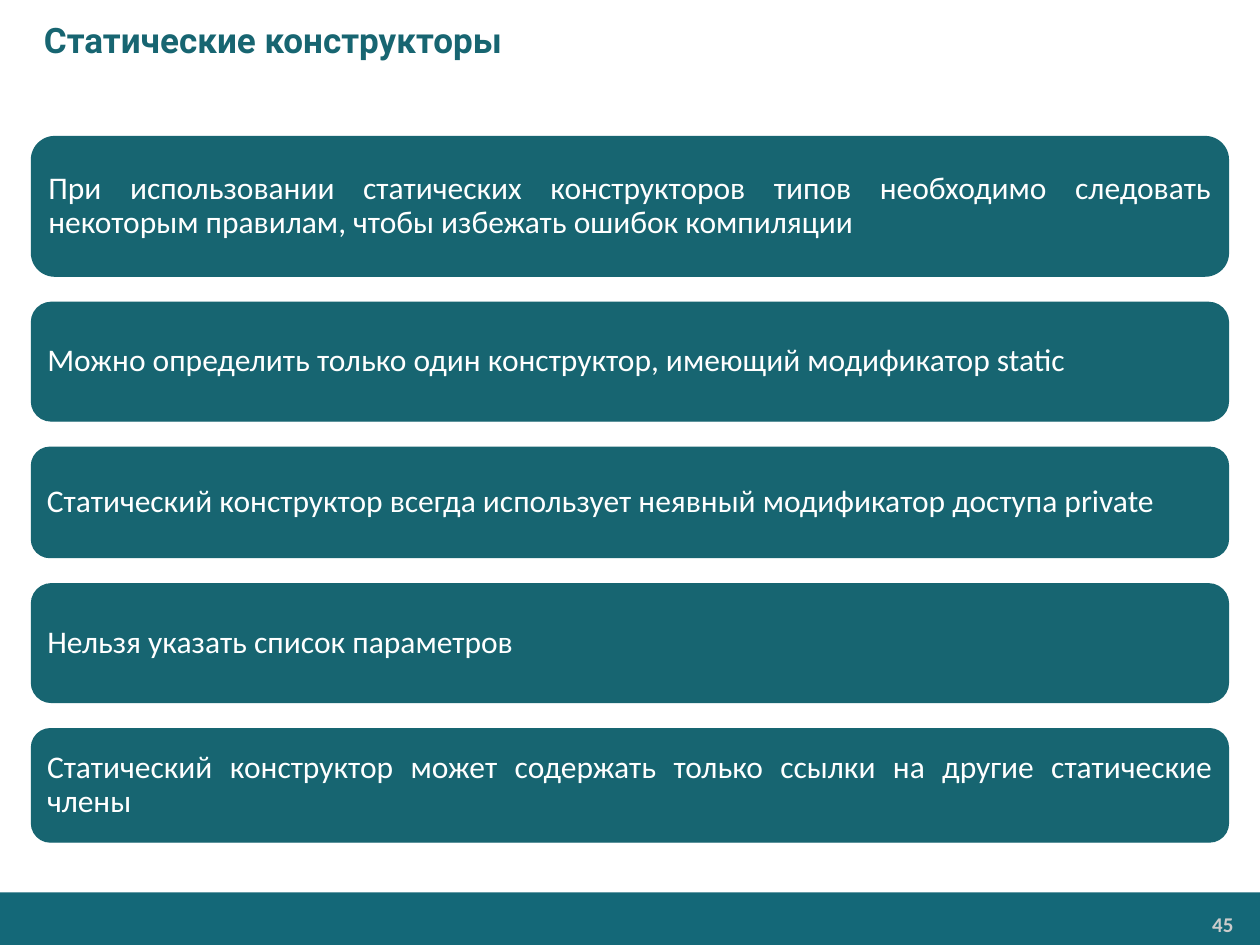
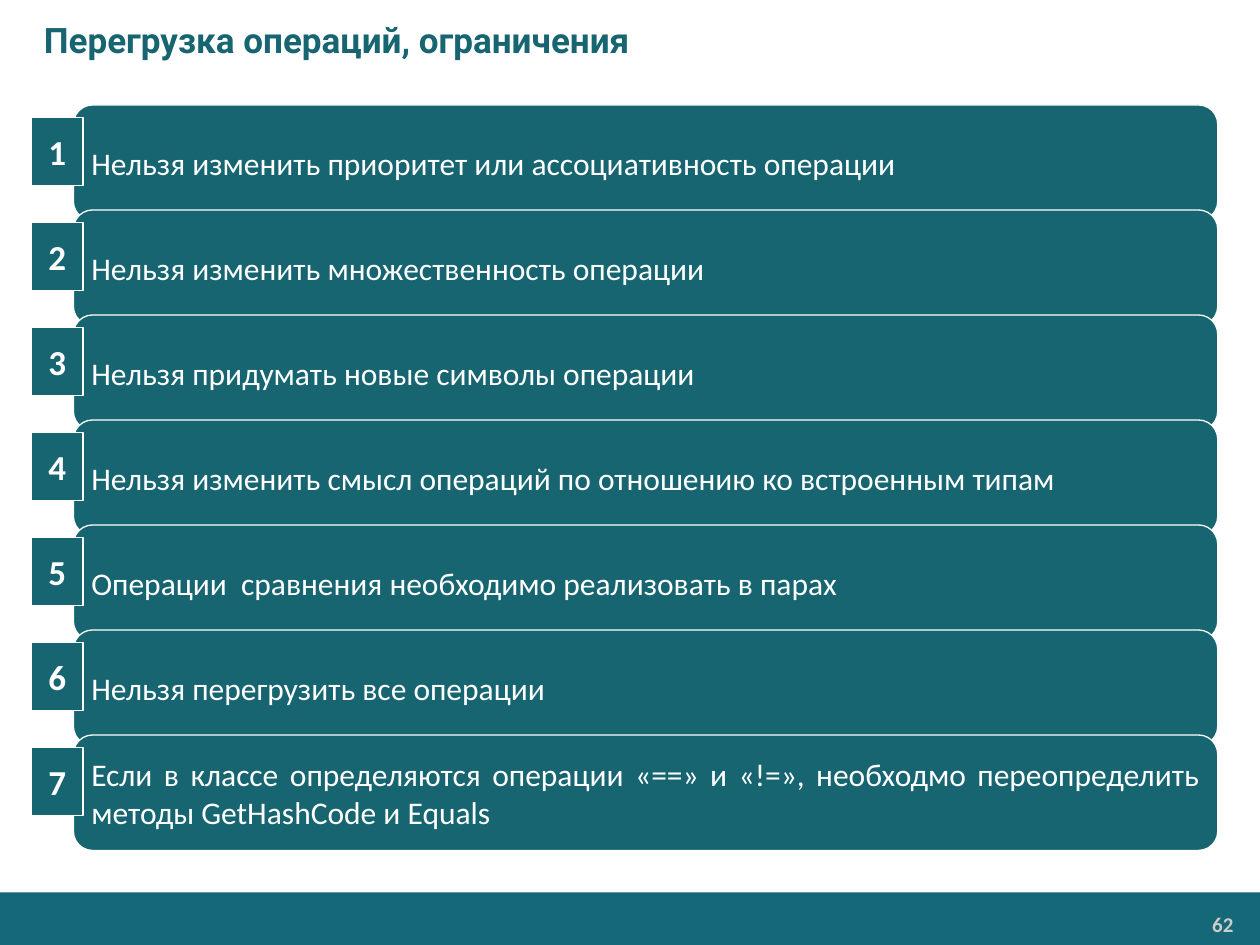
import pptx
import pptx.util
import pptx.dml.color
import pptx.enum.shapes
import pptx.enum.text

SHAPE = pptx.enum.shapes.MSO_SHAPE
ALIGN = pptx.enum.text.PP_ALIGN
ANCHOR = pptx.enum.text.MSO_ANCHOR

TEAL, BAND, WHITE, GREY = "176571", "146878", "FFFFFF", "CCCCCC"
COLS, ROWS = 40, 90
WIDE, HIGH = pptx.util.Inches(10), pptx.util.Inches(7.5)

RULES = [
    (13.3, "При использовании статических конструкторов типов необходимо следовать некоторым правилам, чтобы избежать ошибок компиляции"),
    (11.3, "Можно определить только один конструктор, имеющий модификатор static"),
    (10.5, "Cтатический конструктор всегда использует неявный модификатор доступа private"),
    (11.3, "Нельзя указать список параметров"),
    (10.8, "Статический конструктор может содержать только ссылки на другие статические члены"),
]
LIMITS = [
    "Нельзя изменить приоритет или ассоциативность операции",
    "Нельзя изменить множественность операции",
    "Нельзя придумать новые символы операции",
    "Нельзя изменить смысл операций по отношению ко встроенным типам",
    "Операции  сравнения необходимо реализовать в парах",
    "Нельзя перегрузить все операции",
    "Если в классе определяются операции «==» и «!=», необходмо переопределить методы GetHashCode и Equals",
]


def color(hue):
    return pptx.dml.color.RGBColor.from_string(hue)


def place(box):
    left, top, width, height = box
    return (round(left * WIDE / COLS), round(top * HIGH / ROWS),
            round(width * WIDE / COLS), round(height * HIGH / ROWS))


def write(shape, text, size, hue=WHITE, font="Calibri", bold=False, align=ALIGN.LEFT,
          anchor=ANCHOR.MIDDLE, pads=(0.1, 0.05), wrap=True, lead=None):
    frame = shape.text_frame
    frame.text = text
    frame.word_wrap = wrap
    frame.vertical_anchor = anchor
    frame.margin_left = frame.margin_right = pptx.util.Inches(pads[0])
    frame.margin_top = frame.margin_bottom = pptx.util.Inches(pads[1])
    para = frame.paragraphs[0]
    para.alignment = align
    if lead:
        para.line_spacing = lead
    face = para.runs[0].font
    face.name, face.size, face.bold = font, pptx.util.Pt(size), bold
    face.color.rgb = color(hue)


def panel(slide, kind, box, fill, edge=None):
    shape = slide.shapes.add_shape(kind, *place(box))
    shape.shadow.inherit = False
    shape.fill.solid()
    shape.fill.fore_color.rgb = color(fill)
    if edge:
        shape.line.color.rgb = color(edge)
        shape.line.width = pptx.util.Pt(0.75)
    else:
        shape.line.fill.background()
    return shape


def footer(slide, box, page):
    left, top, width, height = box
    panel(slide, SHAPE.RECTANGLE, box, BAND)
    spot = (left + 0.823 * width, top + 0.26 * height, 0.163 * width, 0.66 * height)
    label = slide.shapes.add_textbox(*place(spot))
    write(label, str(page), 12, GREY, bold=True, align=ALIGN.RIGHT,
          anchor=ANCHOR.TOP, pads=(0.07, 0.04))


def header(slide, box, text):
    title = slide.shapes.add_textbox(*place(box))
    write(title, text, 20, TEAL, "Roboto", True)


def stack(slide, box, rules):
    left, top, width, height = box
    gap = (height - sum(rows for rows, text in rules)) / (len(rules) - 1)
    for rows, text in rules:
        card = panel(slide, SHAPE.ROUNDED_RECTANGLE, (left, top, width, rows), TEAL, TEAL)
        write(card, text, 18, align=ALIGN.JUSTIFY, pads=(0.08, 0.08), lead=0.9)
        top += rows + gap


def ladder(slide, box, limits):
    left, top, width, height = box
    step = (height - 1) / len(limits)
    inset = 1.33
    for index, text in enumerate(limits):
        spot = (left + inset, top + index * step, width - inset, step + 1)
        bar = panel(slide, SHAPE.ROUNDED_RECTANGLE, spot, TEAL, WHITE)
        write(bar, text, 18, align=ALIGN.JUSTIFY)
    for index in range(len(limits)):
        spot = (left, top + index * step + 1.2, 1.64, 6.5)
        badge = panel(slide, SHAPE.RECTANGLE, spot, TEAL, WHITE)
        write(badge, str(index + 1), 20, bold=True, align=ALIGN.CENTER, wrap=False)


def start(deck, title, page):
    slide = deck.slides.add_slide(deck.slide_layouts[6])
    footer(slide, (0, 85, COLS, 5), page)
    header(slide, (1, 0, COLS - 1, 7.5), title)
    return slide


def main():
    deck = pptx.Presentation()
    deck.slide_width, deck.slide_height = WIDE, HIGH
    stack(start(deck, "Статические конструкторы", 45), (1, 13, 38, 67.2), RULES)
    ladder(start(deck, "Перегрузка операций, ограничения", 62), (1, 10, 37.66, 71), LIMITS)
    deck.save("out.pptx")


if __name__ == "__main__":
    main()
